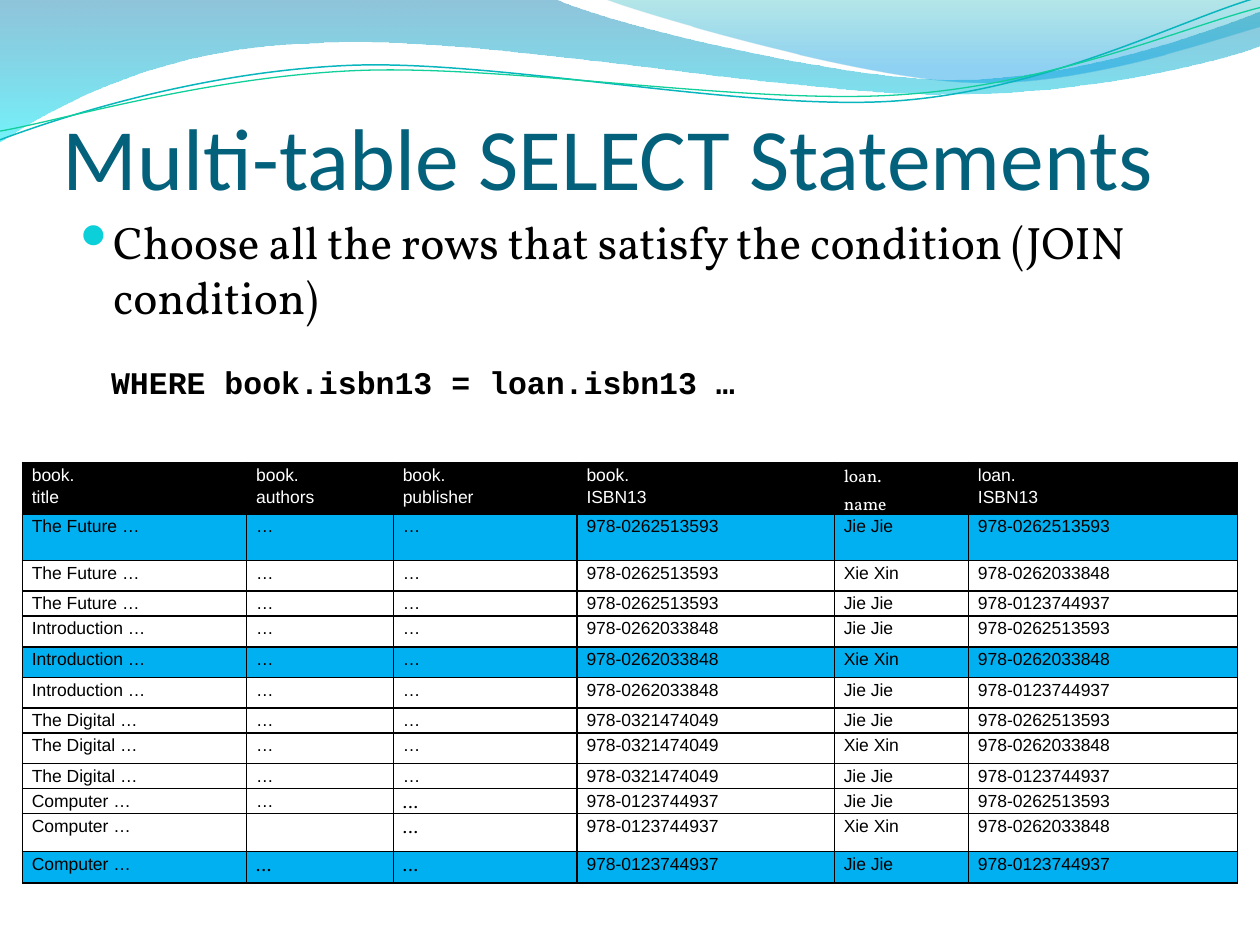
from itertools import product

from lxml.etree import SubElement
from pptx import Presentation
from pptx.dml.color import RGBColor
from pptx.enum.text import MSO_ANCHOR
from pptx.oxml import parse_xml
from pptx.oxml.ns import nsdecls, qn
from pptx.util import Pt

COLORS = {
    "black": "000000", "white": "FFFFFF", "title": "04617B", "bullet": "0BD0D9",
    "match": "00B0F0", "teal": "09B6BE", "green": "10CF9B",
    "deep": "0079AD", "cyan": "00E9F7", "sea": "00ABB4", "sky": "0099E4",
}

# Each wave is a start point followed by line ends (2 numbers) or Bezier curves (6 numbers).
WIDE_WAVE = [
    (0, 0), (316.8, -0.7), (342.7, 12.2, 478.1, 45.4, 545.8, 45.4),
    (614.2, 45.4, 689.8, 18.7, 720, 6.5), (720.7, 25.9),
    (707.8, 31.7, 626.4, 54.7, 537.1, 54), (447.8, 54, 275, 20.2, 185, 24.5),
    (92.9, 25.9, 33.1, 59.8, -0.7, 81.4), (0, 0),
]
RIGHT_WAVE = [
    (344.9, -0.7), (366.5, 7.9, 491, 44.6, 553.7, 46.8),
    (616.3, 49.7, 691.9, 23, 720, 15.1), (720, 0), (344.9, -0.7),
]
TEAL_WAVE = [
    (0, 79.9), (34.6, 67, 113.8, 41, 199.4, 37.4),
    (284.4, 33.8, 427, 64.1, 513.4, 57.6), (599.8, 51.1, 675.4, 10.8, 718.6, -1.4),
]
GREEN_WAVE = [
    (0, 74.9), (33.8, 69.1, 118.1, 43.9, 203.8, 40.3),
    (290.2, 36.7, 429.8, 60.5, 516.2, 54), (601.9, 48.2, 677.5, 15.1, 720, 4.3),
]

HEADERS = ["book.\ntitle", "book.\nauthors", "book.\npublisher",
           "book.\nISBN13", "loan.\nname", "loan.\nISBN13"]
BOOKS = [("The Future …", "978-0262513593"), ("Introduction …", "978-0262033848"),
         ("The Digital …", "978-0321474049"), ("Computer …", "978-0123744937")]
LOANS = [("Jie Jie", "978-0262513593"), ("Xie Xin", "978-0262033848"),
         ("Jie Jie", "978-0123744937")]
COL_WIDTHS = [128.2, 83.8, 105, 147, 76.7, 153.8]
ROW_HEIGHTS = [29.7, 26.5, 17.5, 14.3, 17.5, 17.5, 17.5, 14.3, 17.5, 14.3, 14.3, 21.5, 18]
SERIF_CELLS = {(0, 4), (10, 2), (11, 2), (12, 1), (12, 2)}
NO_AUTHORS_ROW = 11


def rgb(name):
    return RGBColor.from_string(COLORS[name])


def add_run(p, text, font, size, color, bold=False):
    r = p.add_run()
    r.text = text
    r.font.name, r.font.size, r.font.bold = font, Pt(size), bold
    r.font.color.rgb = rgb(color)


def add_text_box(s, box, insets=(7.2, 3.6, 7.2, 3.6), anchor=MSO_ANCHOR.TOP):
    tf = s.shapes.add_textbox(*map(Pt, box)).text_frame
    tf.word_wrap = True
    tf.vertical_anchor = anchor
    tf.margin_left, tf.margin_top, tf.margin_right, tf.margin_bottom = map(Pt, insets)
    return tf.paragraphs[0]


def add_wave(s, origin, wave, close):
    """Build the outline through the segment ends, then bend the curved segments."""
    left, top = origin
    ends = [(Pt(left + seg[-2]), Pt(top + seg[-1])) for seg in wave]
    builder = s.shapes.build_freeform(*ends[0], scale=1.0)
    builder.add_line_segments(ends[1:], close=close)
    sp = builder.convert_to_shape()
    for seg, line in zip(wave[1:], list(sp._element.iter(qn("a:lnTo")))):
        if len(seg) == 6:
            curve = SubElement(line.getparent(), qn("a:cubicBezTo"))
            for x, y in zip(seg[::2], seg[1::2]):
                pt = SubElement(curve, qn("a:pt"))
                pt.set("x", str(Pt(left + x) - sp.left))
                pt.set("y", str(Pt(top + y) - sp.top))
            line.getparent().replace(line, curve)
    sp.shadow.inherit = False
    sp.fill.background()
    sp.line.fill.background()
    return sp


def fill_gradient(sp, stops):
    """Fill from top to bottom with (position, color, opacity) stops in percent."""
    gs = "".join(
        f'<a:gs pos="{pos * 1000}"><a:srgbClr val="{COLORS[color]}">'
        f'<a:alpha val="{alpha * 1000}"/></a:srgbClr></a:gs>' for pos, color, alpha in stops)
    grad = parse_xml(f'<a:gradFill {nsdecls("a")} rotWithShape="1"><a:gsLst>{gs}</a:gsLst>'
                     '<a:lin ang="5400000" scaled="0"/></a:gradFill>')
    no_fill = sp._element.spPr.find(qn("a:noFill"))
    no_fill.getparent().replace(no_fill, grad)


def add_wave_banner(s, origin):
    for wave, stops in (
        (WIDE_WAVE, [(0, "deep", 44), (100, "cyan", 55)]),
        (RIGHT_WAVE, [(0, "sea", 29), (80, "sky", 44), (100, "sky", 44)]),
    ):
        fill_gradient(add_wave(s, origin, wave, True), stops)
    for wave, color, width in ((TEAL_WAVE, "teal", 0.85), (GREEN_WAVE, "green", 0.75)):
        line = add_wave(s, origin, wave, False).line
        line.color.rgb = rgb(color)
        line.width = Pt(width)


def add_title(s, box):
    p = add_text_box(s, box, (0, 3.6, 0, 0), MSO_ANCHOR.BOTTOM)
    add_run(p, "Multi-table SELECT Statements", "Calibri", 50, "title")


def add_bullet(s, box):
    p = add_text_box(s, box)
    pPr = p._p.get_or_add_pPr()
    pPr.set("marL", str(Pt(21.6)))
    pPr.set("indent", str(-Pt(21.6)))
    SubElement(SubElement(pPr, qn("a:buClr")), qn("a:srgbClr")).set("val", COLORS["bullet"])
    SubElement(pPr, qn("a:buSzPct")).set("val", "95000")
    SubElement(pPr, qn("a:buFont")).set("typeface", "OpenSymbol")
    SubElement(pPr, qn("a:buChar")).set("char", "⚫")
    add_run(p, "Choose all the rows that satisfy the condition (JOIN condition)",
            "Vollkorn", 26, "black")


def add_condition(s, box):
    p = add_text_box(s, box)
    add_run(p, "WHERE book.isbn13 = loan.isbn13 …", "Courier New", 18, "black", True)


def add_borders(cell):
    tcPr = cell._tc.get_or_add_tcPr()
    for i, side in enumerate(("lnL", "lnR", "lnT", "lnB")):
        tcPr.insert(i, parse_xml(
            f'<a:{side} {nsdecls("a")} w="{Pt(1)}"><a:solidFill>'
            f'<a:srgbClr val="{COLORS["black"]}"/></a:solidFill></a:{side}>'))


def fill_cell(cell, text, font, color, fill):
    cell.margin_left = cell.margin_right = Pt(5.4)
    cell.margin_top = cell.margin_bottom = 0
    if fill:
        cell.fill.solid()
        cell.fill.fore_color.rgb = rgb(fill)
    else:
        cell.fill.background()
    add_borders(cell)
    if not text:
        return
    p = cell.text_frame.paragraphs[0]
    p.line_spacing = 1.15
    for i, line in enumerate(text.split("\n")):
        if i:
            p.add_line_break()
        add_run(p, line, font, 10, color)


def add_join_table(s, left, top):
    rows = [(HEADERS, "white", "black")]
    for (title, isbn), (name, loan_isbn) in product(BOOKS, LOANS):
        authors = "" if len(rows) == NO_AUTHORS_ROW else "…"
        rows.append(([title, authors, "…", isbn, name, loan_isbn], "black",
                     "match" if isbn == loan_isbn else None))
    table = s.shapes.add_table(len(rows), len(HEADERS), Pt(left), Pt(top),
                               Pt(sum(COL_WIDTHS)), Pt(sum(ROW_HEIGHTS))).table
    table.first_row = table.horz_banding = False
    for column, width in zip(table.columns, COL_WIDTHS):
        column.width = Pt(width)
    for i, (texts, color, fill) in enumerate(rows):
        table.rows[i].height = Pt(ROW_HEIGHTS[i])
        for j, text in enumerate(texts):
            font = "Vollkorn" if (i, j) in SERIF_CELLS else "Arial"
            fill_cell(table.cell(i, j), text, font, color, fill)


def main():
    prs = Presentation()
    prs.slide_width, prs.slide_height = Pt(720), Pt(540)
    s = prs.slides.add_slide(prs.slide_layouts[6])
    add_wave_banner(s, (0, 0))
    add_bullet(s, (36, 118.8, 648, 345.6))
    add_title(s, (36, 28.8, 648, 90))
    add_condition(s, (56.4, 203.8, 576, 28.8))
    add_join_table(s, 12.8, 264.2)
    prs.save("out.pptx")


if __name__ == "__main__":
    main()
